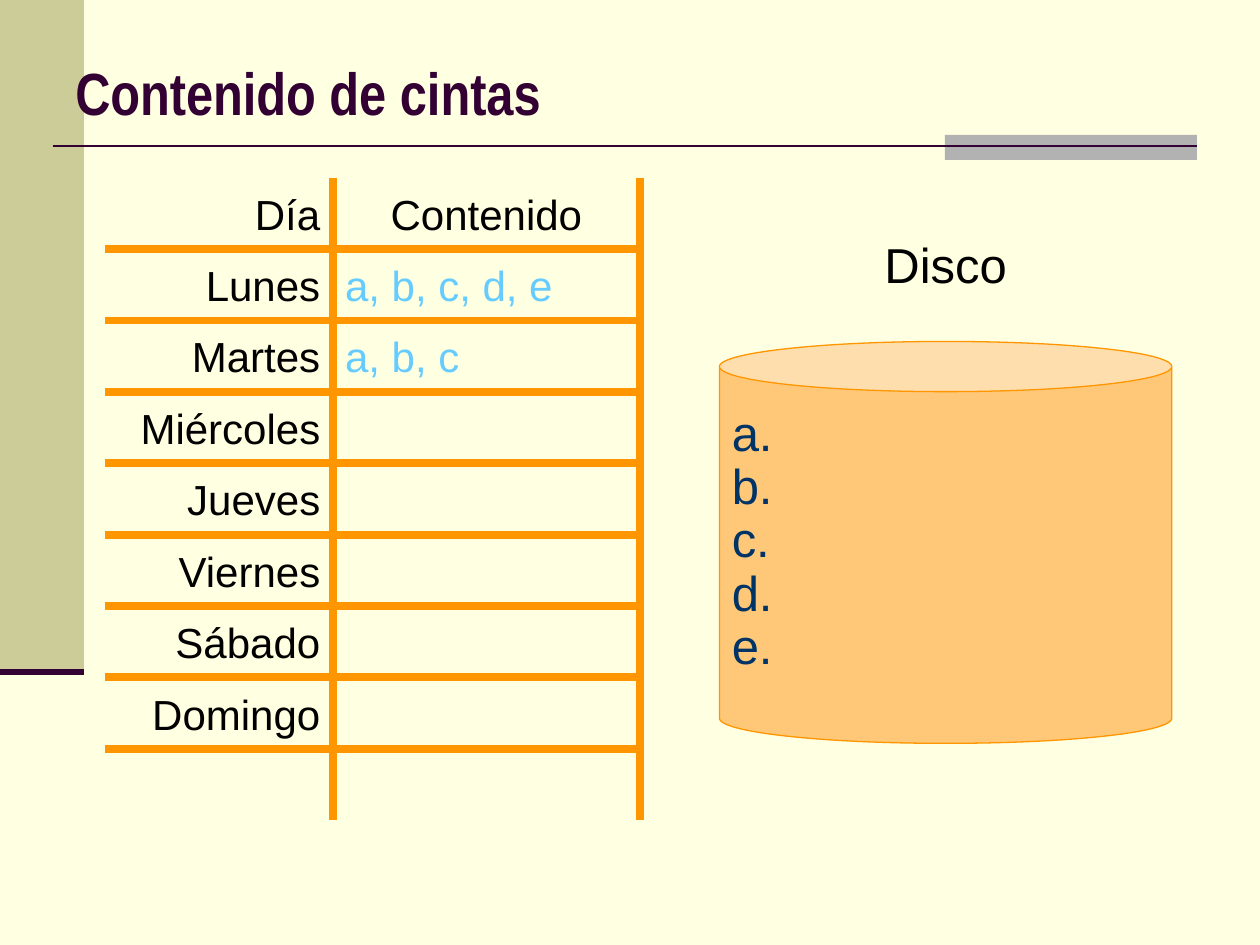
import pptx
import pptx.util
import pptx.dml.color
import pptx.enum.shapes
import pptx.enum.text
import pptx.oxml
import pptx.oxml.ns

W, H = 10, 7.5
INK, ORANGE, BLACK, SKY = "330033", "FF9600", "000000", "66CCFF"
SHAPE = pptx.enum.shapes.MSO_SHAPE
ALIGN = pptx.enum.text.PP_ALIGN
ANCHOR = pptx.enum.text.MSO_ANCHOR
ROWS = [
    ("Día", "Contenido"), ("Lunes", "a, b, c, d, e"), ("Martes", "a, b, c"),
    ("Miércoles", ""), ("Jueves", ""), ("Viernes", ""), ("Sábado", ""),
    ("Domingo", ""), ("", ""),
]
COL_EDGES = (0.83, 2.64, 5.08)
GRID_TOP, GRID_BOTTOM = 1.41, 6.51
ROW_HEIGHT = (GRID_BOTTOM - GRID_TOP) / len(ROWS)


def inches(*values):
    return [pptx.util.Inches(v) for v in values]


def rgb(hex_text):
    return pptx.dml.color.RGBColor.from_string(hex_text)


def add_text(s, box, lines, size, color, name="Arial", bold=False,
             anchor=ANCHOR.MIDDLE, **para):
    """Add a text box, one paragraph a line."""
    tf = s.shapes.add_textbox(*inches(*box)).text_frame
    tf.word_wrap = True
    tf.vertical_anchor = anchor
    font = {"size": pptx.util.Pt(size), "name": name, "bold": bold}
    for i, line in enumerate(lines):
        p = tf.paragraphs[0] if i == 0 else tf.add_paragraph()
        for key, value in para.items():
            if i or key != "space_before":
                setattr(p, key, value)
        r = p.add_run()
        r.text = line
        for key, value in font.items():
            setattr(r.font, key, value)
        r.font.color.rgb = rgb(color)


def add_block(s, kind, box, fill, line=None):
    sp = s.shapes.add_shape(kind, *inches(*box))
    sp.shadow.inherit = False
    sp.fill.solid()
    sp.fill.fore_color.rgb = rgb(fill)
    if line:
        sp.line.color.rgb = rgb(line)
        sp.line.width = pptx.util.Pt(0.75)
    else:
        sp.line.fill.background()
    return sp


def add_line(s, start, end, color, width):
    straight = pptx.enum.shapes.MSO_CONNECTOR.STRAIGHT
    line = s.shapes.add_connector(straight, *inches(*start, *end))
    line.line.color.rgb = rgb(color)
    line.line.width = pptx.util.Pt(width)
    line._element.spPr.append(pptx.oxml.parse_xml(
        "<a:effectLst %s/>" % pptx.oxml.ns.nsdecls("a")))


def add_tape_grid(s):
    """Write the days and their contents, then rule the grid."""
    left, right = COL_EDGES[0], COL_EDGES[-1]
    for i, texts in enumerate(ROWS):
        y = GRID_TOP + i * ROW_HEIGHT
        for j, text in enumerate(texts):
            if text:
                x, x_end = COL_EDGES[j:j + 2]
                body = ALIGN.CENTER if i == 0 else ALIGN.LEFT
                add_text(s, (x, y, x_end - x, ROW_HEIGHT), [text], 24,
                         SKY if i and j else BLACK,
                         alignment=body if j else ALIGN.RIGHT)
    for i in range(1, len(ROWS)):
        y = GRID_TOP + i * ROW_HEIGHT
        add_line(s, (left, y), (right, y), ORANGE, 4.5)
    for x in COL_EDGES[1:]:
        add_line(s, (x, GRID_TOP), (x, GRID_BOTTOM), ORANGE, 4.5)


def add_disk(s, left, top, width, height):
    add_text(s, (left + width / 2 - 0.96, top - 0.9, 1.92, 0.57), ["Disco"],
             28, BLACK, alignment=ALIGN.CENTER)
    can = add_block(s, SHAPE.CAN, (left, top, width, height), "FFC878", ORANGE)
    can.adjustments[0] = 0.125
    add_text(s, (left, top + 0.56, 1.27, 2.13), ["a.", "b.", "c.", "d.", "e."],
             28, "003366", anchor=ANCHOR.TOP,
             line_spacing=0.7, space_before=pptx.util.Pt(7))


def main():
    prs = pptx.Presentation()
    prs.slide_width, prs.slide_height = inches(W, H)
    s = prs.slides.add_slide(prs.slide_layouts[6])
    s.background.fill.solid()
    s.background.fill.fore_color.rgb = rgb("FFFFE1")

    # Side band and title rule
    add_block(s, SHAPE.RECTANGLE, (0, 0, W / 15, 5.33), "CCCC99")
    add_block(s, SHAPE.RECTANGLE, (0.75 * W, 1.07, 0.2 * W, 0.2), "B2B2B2")
    add_line(s, (0.42, 1.16), (0.95 * W, 1.16), INK, 1.5)
    add_line(s, (0, 5.33), (W / 15, 5.33), INK, 3.5)

    # Title
    add_text(s, (0.5, 0.37, 0.9 * W, 0.71), ["Contenido de cintas"], 34, INK,
             name="Arial Narrow", bold=True)

    # Disk and tape contents
    add_disk(s, 5.71, 2.71, 3.59, 3.19)
    add_tape_grid(s)

    prs.save("out.pptx")


if __name__ == "__main__":
    main()
